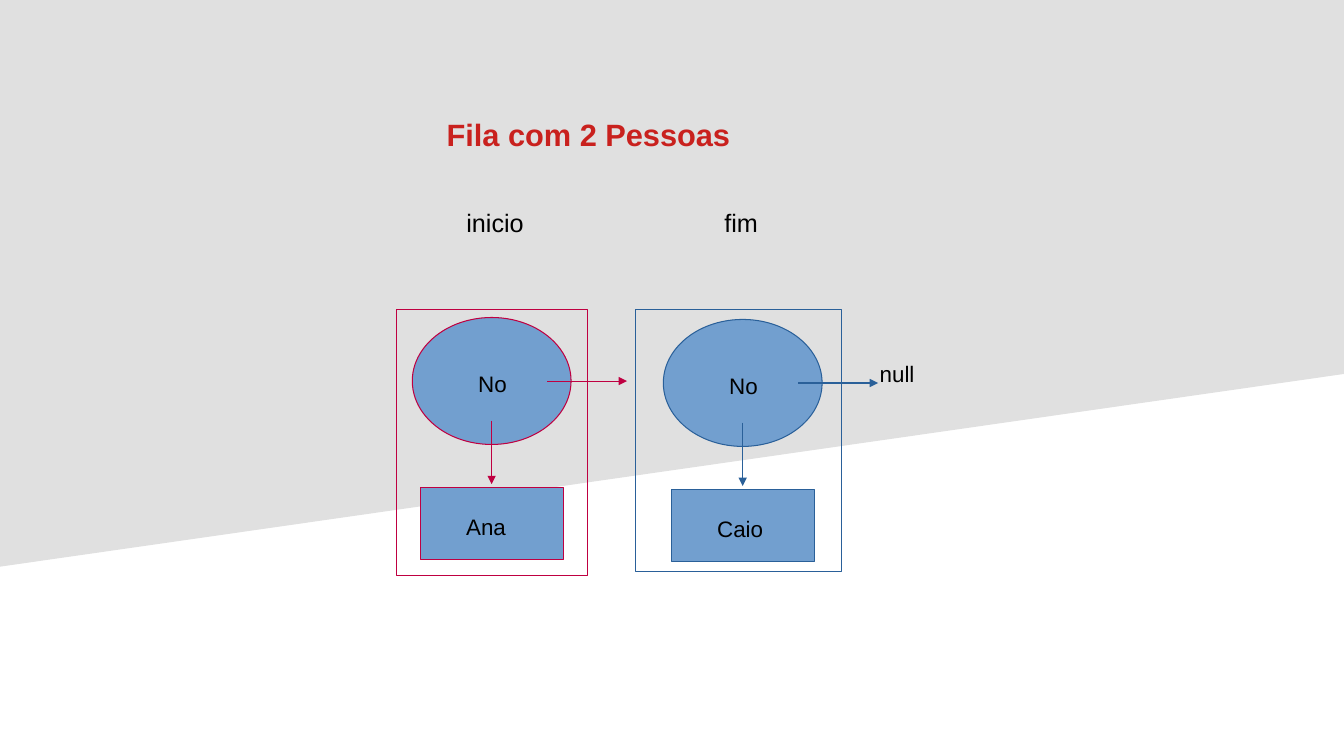
from pptx import Presentation
from pptx.dml.color import RGBColor
from pptx.enum.shapes import MSO_CONNECTOR as CONN, MSO_SHAPE as SHAPE
from pptx.enum.text import MSO_ANCHOR as ANCHOR, MSO_AUTO_SIZE as AUTO, PP_ALIGN as ALIGN
from pptx.oxml.ns import qn
from pptx.util import Pt
from lxml import etree

BLACK = RGBColor(0x00, 0x00, 0x00)
GREY = RGBColor(0xE0, 0xE0, 0xE0)
RED = RGBColor(0xC9, 0x21, 0x1E)
CRIMSON = RGBColor(0xBF, 0x00, 0x41)
NAVY = RGBColor(0x2A, 0x60, 0x99)
SKY = RGBColor(0x72, 0x9F, 0xCF)
WIDTH, HEIGHT = 960, 540


def put_text(sp, text, size, color=BLACK, bold=False):
    tf = sp.text_frame
    tf.text = text
    tf.word_wrap = True
    tf.auto_size = AUTO.NONE
    tf.vertical_anchor = ANCHOR.TOP
    tf.margin_left = tf.margin_right = Pt(7.2)
    tf.margin_top = tf.margin_bottom = Pt(3.6)
    p = tf.paragraphs[0]
    p.alignment = ALIGN.LEFT
    font = p.runs[0].font
    font.name, font.size, font.bold = "Arial", Pt(size), bold
    font.color.rgb = color


def add_label(slide, text, x, y, w, size=16):
    sp = slide.shapes.add_textbox(Pt(x), Pt(y), Pt(w), Pt(27.4))
    put_text(sp, text, size)


def add_outlined(slide, kind, x, y, w, h, color, fill=None):
    sp = slide.shapes.add_shape(kind, Pt(x), Pt(y), Pt(w), Pt(h))
    sp.shadow.inherit = False
    if fill is None:
        sp.fill.background()
    else:
        sp.fill.solid()
        sp.fill.fore_color.rgb = fill
    sp.line.color.rgb = color
    sp.line.width = Pt(0.75)


def add_arrow(slide, x1, y1, x2, y2, color):
    line = slide.shapes.add_connector(CONN.STRAIGHT, Pt(x1), Pt(y1), Pt(x2), Pt(y2))
    line.line.color.rgb = color
    line.line.width = Pt(0.75)
    etree.SubElement(line.line._get_or_add_ln(), qn("a:tailEnd"), type="triangle")
    etree.SubElement(line._element.spPr, qn("a:effectLst"))


def add_background(slide, w, h):
    """Grey area with a slanted lower edge, sent behind everything."""
    builder = slide.shapes.build_freeform(Pt(0), Pt(0))
    builder.add_line_segments(
        [(Pt(w), Pt(0)), (Pt(w), Pt(h * 0.66)), (Pt(0), Pt(h))], close=True)
    sp = builder.convert_to_shape()
    sp.shadow.inherit = False
    sp.fill.solid()
    sp.fill.fore_color.rgb = GREY
    sp.line.fill.background()
    slide.shapes._spTree.insert(2, sp._element)


def add_title(slide, text, x, y, w, h):
    title = slide.shapes.title
    title.left, title.top, title.width, title.height = Pt(x), Pt(y), Pt(w), Pt(h)
    put_text(title, text, 22, RED, bold=True)


def add_node(slide, person, x, y, w, h, inset_x, inset_y, color):
    """Framed node: a circle pointing down to its person and right to the next."""
    cx, cy = x + inset_x, y + inset_y
    # Circle and person box
    add_outlined(slide, SHAPE.OVAL, cx, cy, 113.4, 90.7, color, SKY)
    add_outlined(slide, SHAPE.RECTANGLE, cx + 5.8, cy + 121.7, 102, 51, color, SKY)
    # Links
    add_arrow(slide, cx + 96.5, cy + 45.4, cx + 153.4, cy + 45.4, color)
    add_arrow(slide, cx + 56.7, cy + 73.7, cx + 56.7, cy + 119, color)
    # Texts
    add_label(slide, "No", cx + 40, cy + 34.2, 37)
    add_label(slide, person, cx + 31.4, cy + 136, 65)
    # Frame
    add_outlined(slide, SHAPE.RECTANGLE, x, y, w, h, color)


def build_queue_slide(prs):
    slide = prs.slides.add_slide(prs.slide_layouts[5])
    add_background(slide, WIDTH, 404.8)
    add_title(slide, "Fila com 2 Pessoas", 311.8, 79.2, 238.3, 31.7)

    # Queue nodes
    add_node(slide, "Caio", 454, 221, 147, 187.2, 19.8, 7.2, NAVY)
    add_node(slide, "Ana", 283.5, 221, 136.2, 190, 11, 5.8, CRIMSON)

    # Pointers
    add_label(slide, "inicio", 326, 144.7, 65, size=18)
    add_label(slide, "fim", 510.3, 144.7, 48, size=18)
    add_label(slide, "null", 621.3, 254, 42)


def main():
    prs = Presentation()
    prs.slide_width, prs.slide_height = Pt(WIDTH), Pt(HEIGHT)
    build_queue_slide(prs)
    prs.save("out.pptx")


if __name__ == "__main__":
    main()
